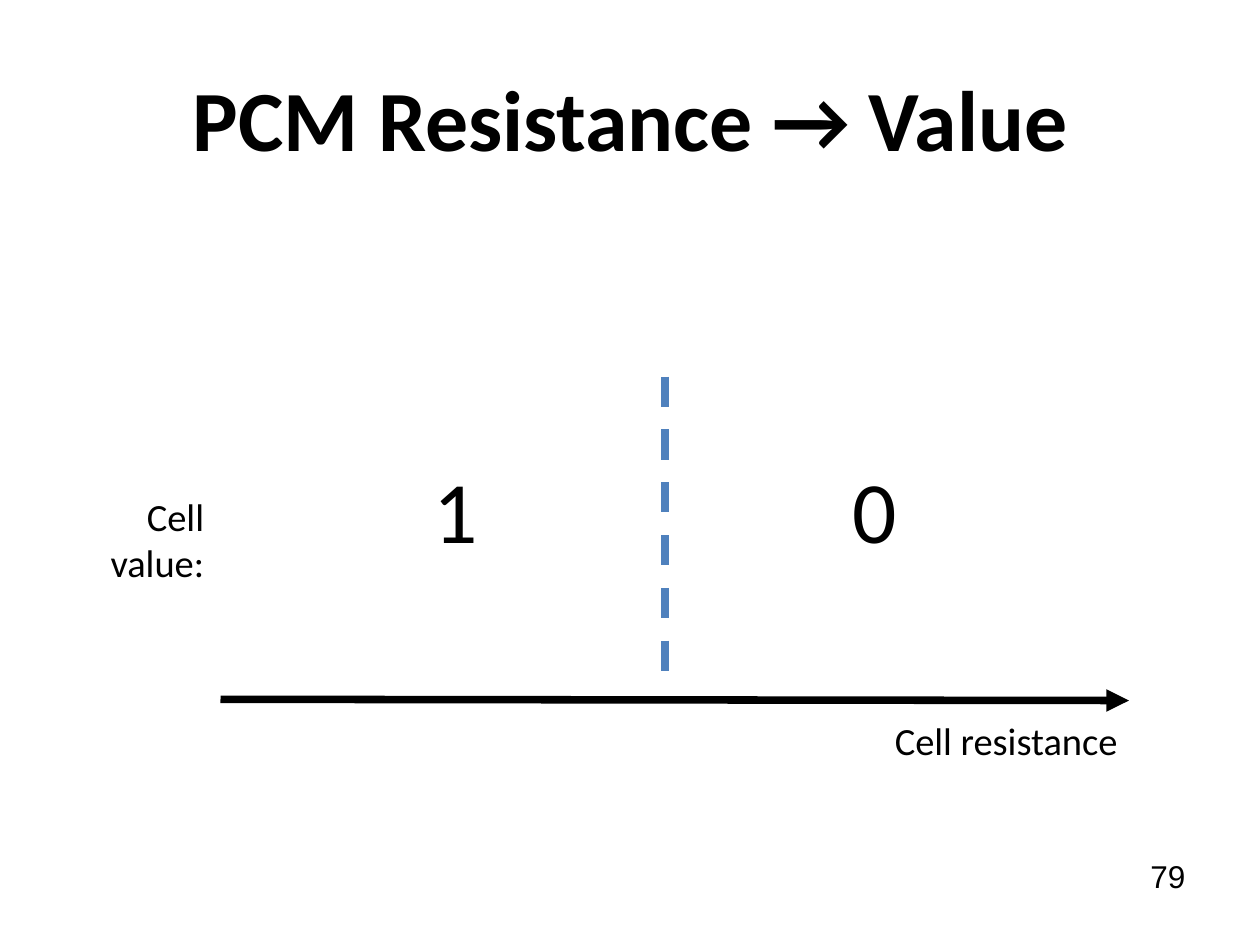
from lxml.etree import SubElement
from pptx import Presentation
from pptx.dml.color import RGBColor
from pptx.enum.dml import MSO_LINE
from pptx.enum.shapes import MSO_CONNECTOR
from pptx.enum.text import MSO_ANCHOR, PP_ALIGN
from pptx.oxml.ns import qn
from pptx.util import Inches, Pt

BLACK = RGBColor(0x00, 0x00, 0x00)
BLUE = RGBColor(0x4F, 0x81, 0xBD)

TITLE = "PCM Resistance → Value"
PAGE_NUMBER = "79"
AXIS_LABEL = "Cell resistance"
VALUE_LABEL = "Cell value:"
CELL_VALUES = [("1", 3.37), ("0", 6.7)]  # digit, left edge

LABEL_INSETS = (0.07, 0.04)
NO_INSETS = (0, 0)


def add_text(slide, text, box, size, align=PP_ALIGN.LEFT, font="Calibri", bold=False,
             spacing=1.0, insets=LABEL_INSETS, anchor=MSO_ANCHOR.TOP, hanging=False):
    tf = slide.shapes.add_textbox(*map(Inches, box)).text_frame
    tf.word_wrap = True
    tf.vertical_anchor = anchor
    tf.margin_left = tf.margin_right = Inches(insets[0])
    tf.margin_top = tf.margin_bottom = Inches(insets[1])
    tf.text = text
    p = tf.paragraphs[0]
    p.alignment = align
    p.line_spacing = spacing
    if hanging:
        pPr = p._p.get_or_add_pPr()
        pPr.set("marL", str(Inches(0.24)))
        pPr.set("indent", str(Inches(-0.22)))
    f = p.runs[0].font
    f.name, f.size, f.bold = font, Pt(size), bold
    f.color.rgb = BLACK


def add_line(slide, start, end, color):
    line = slide.shapes.add_connector(
        MSO_CONNECTOR.STRAIGHT, *map(Inches, start + end))
    line.line.color.rgb = color
    line.line.width = Pt(4.31)
    SubElement(line._element.spPr, qn("a:effectLst"))
    return line


def main():
    prs = Presentation()
    prs.slide_width, prs.slide_height = Inches(10), Inches(7.5)
    s = prs.slides.add_slide(prs.slide_layouts[6])

    add_text(s, PAGE_NUMBER, (9.13, 6.83, 0.74, 0.5), 18, font="Arial",
             spacing=0.93, insets=NO_INSETS)
    add_text(s, TITLE, (0.5, 0.3, 9, 1.25), 49, PP_ALIGN.CENTER, bold=True,
             spacing=1.02, insets=NO_INSETS, anchor=MSO_ANCHOR.MIDDLE)

    axis = add_line(s, (1.75, 5.55), (8.96, 5.56), BLACK)
    SubElement(axis.line._get_or_add_ln(), qn("a:tailEnd"), type="triangle")
    add_text(s, AXIS_LABEL, (6.94, 5.65, 2, 0.44), 22, PP_ALIGN.RIGHT, hanging=True)

    threshold = add_line(s, (5.28, 2.99), (5.28, 5.5), BLUE)
    threshold.line.dash_style = MSO_LINE.DASH

    for digit, left in CELL_VALUES:
        add_text(s, digit, (left, 3.67, 0.36, 0.83), 50, PP_ALIGN.CENTER,
                 spacing=0.93, anchor=MSO_ANCHOR.MIDDLE)
    add_text(s, VALUE_LABEL, (0.38, 3.87, 1.31, 0.81), 22, PP_ALIGN.RIGHT, hanging=True)

    prs.save("out.pptx")


if __name__ == "__main__":
    main()
